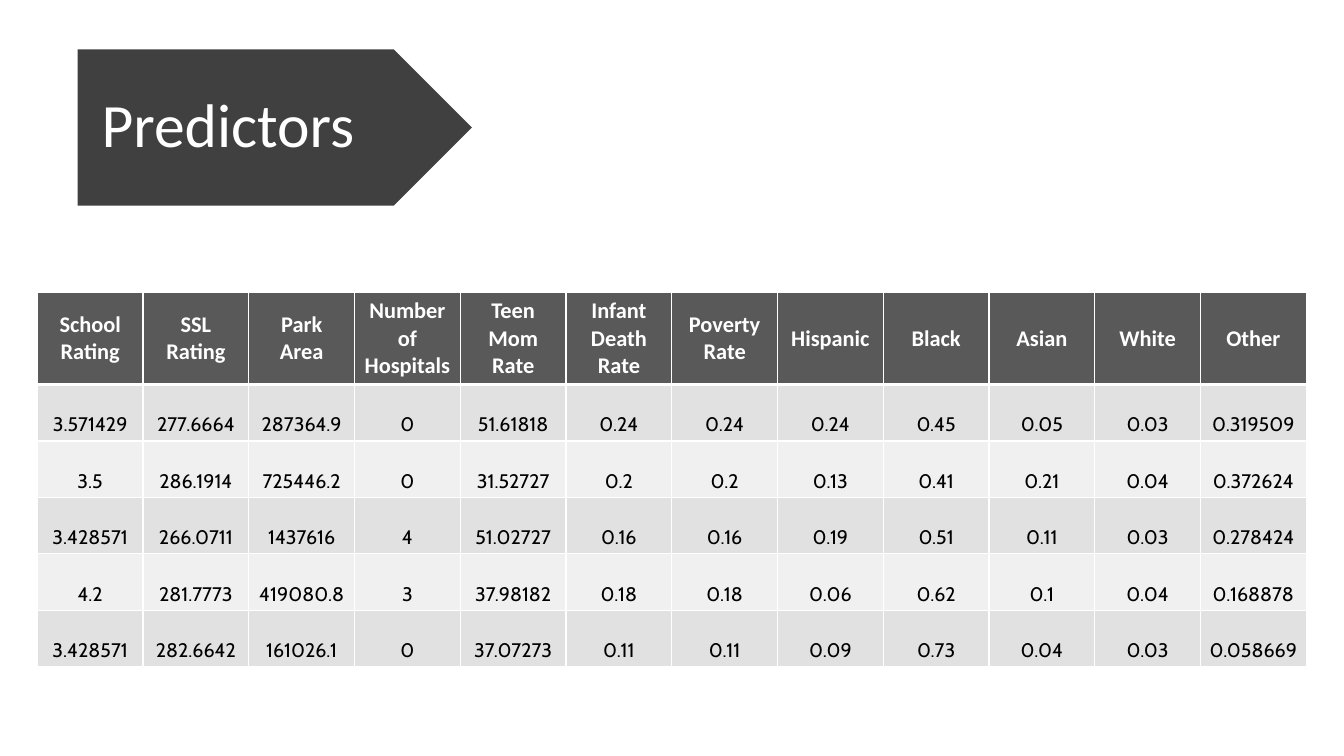
from lxml import etree
from pptx import Presentation
from pptx.dml.color import RGBColor
from pptx.enum.shapes import MSO_SHAPE
from pptx.enum.text import MSO_ANCHOR, PP_ALIGN
from pptx.oxml.ns import qn
from pptx.util import Inches, Pt

WHITE = RGBColor(0xFF, 0xFF, 0xFF)
BLACK = RGBColor(0x00, 0x00, 0x00)
ARROW_GRAY = RGBColor(0x40, 0x40, 0x40)
HEADER_GRAY = RGBColor(0x59, 0x59, 0x59)
BANDS = [RGBColor(0xF0, 0xF0, 0xF0), RGBColor(0xE1, 0xE1, 0xE1)]

HEADERS = ["School Rating", "SSL Rating", "Park Area", "Number of Hospitals",
           "Teen Mom Rate", "Infant Death Rate", "Poverty Rate", "Hispanic",
           "Black", "Asian", "White", "Other"]
ROWS = [
    "3.571429 277.6664 287364.9 0 51.61818 0.24 0.24 0.24 0.45 0.05 0.03 0.319509",
    "3.5 286.1914 725446.2 0 31.52727 0.2 0.2 0.13 0.41 0.21 0.04 0.372624",
    "3.428571 266.0711 1437616 4 51.02727 0.16 0.16 0.19 0.51 0.11 0.03 0.278424",
    "4.2 281.7773 419080.8 3 37.98182 0.18 0.18 0.06 0.62 0.1 0.04 0.168878",
    "3.428571 282.6642 161026.1 0 37.07273 0.11 0.11 0.09 0.73 0.04 0.03 0.058669",
]
HEADER_FONT = {"size": Pt(16), "name": "Calibri", "bold": True}
BODY_FONT = {"size": Pt(14), "name": "Cabin", "bold": False}
TITLE_FONT = {"size": Pt(44), "name": "Calibri"}
BODY_MARGINS = {"margin_left": Inches(0.07), "margin_right": Inches(0.07),
                "margin_top": 0, "margin_bottom": 0}


def style_font(font, color, values):
    for name, value in values.items():
        setattr(font, name, value)
    font.color.rgb = color


def add_borders(cell, top, bottom):
    """Draw white cell borders; top and bottom widths are in points."""
    tcPr = cell._tc.get_or_add_tcPr()
    for side, width in {"L": 1, "R": 1, "T": top, "B": bottom}.items():
        ln = etree.SubElement(tcPr, qn(f"a:ln{side}"), w=str(Pt(width)))
        fill = etree.SubElement(ln, qn("a:solidFill"))
        etree.SubElement(fill, qn("a:srgbClr"), val=str(WHITE))


prs = Presentation()
prs.slide_width, prs.slide_height = Inches(13.33), Inches(7.5)
s = prs.slides.add_slide(prs.slide_layouts[6])

# Predictor table
cells = [HEADERS] + [row.split() for row in ROWS]
frame = s.shapes.add_table(len(cells), len(HEADERS), Inches(0.37), Inches(2.9),
                           Inches(12.59), Inches(3.72))
table = frame.table
for r, values in enumerate(cells):
    table.rows[r].height = Inches(0.56)
    header = r == 0
    for c, value in enumerate(values):
        cell = table.cell(r, c)
        add_borders(cell, top=3 if r == 1 else 1, bottom=3 if header else 1)
        cell.fill.solid()
        cell.fill.fore_color.rgb = HEADER_GRAY if header else BANDS[r % 2]
        cell.vertical_anchor = MSO_ANCHOR.MIDDLE
        p = cell.text_frame.paragraphs[0]
        p.alignment = PP_ALIGN.CENTER
        run = p.add_run()
        run.text = value
        if header:
            style_font(run.font, WHITE, HEADER_FONT)
        else:
            style_font(run.font, BLACK, BODY_FONT)
            p.line_spacing = 2.0
            for name, margin in BODY_MARGINS.items():
                setattr(cell, name, margin)
frame.height = Inches(3.72)

# Title arrow
arrow = s.shapes.add_shape(MSO_SHAPE.PENTAGON, Inches(0.77), Inches(0.49),
                           Inches(3.91), Inches(1.55))
arrow.shadow.inherit = False
arrow.fill.solid()
arrow.fill.fore_color.rgb = ARROW_GRAY
arrow.line.fill.background()

title = s.shapes.add_textbox(Inches(0.91), Inches(0.49), Inches(2.87), Inches(1.55))
tf = title.text_frame
tf.word_wrap = True
tf.vertical_anchor = MSO_ANCHOR.MIDDLE
p = tf.paragraphs[0]
p.line_spacing = 0.9
run = p.add_run()
run.text = "Predictors"
style_font(run.font, WHITE, TITLE_FONT)

prs.save("out.pptx")
